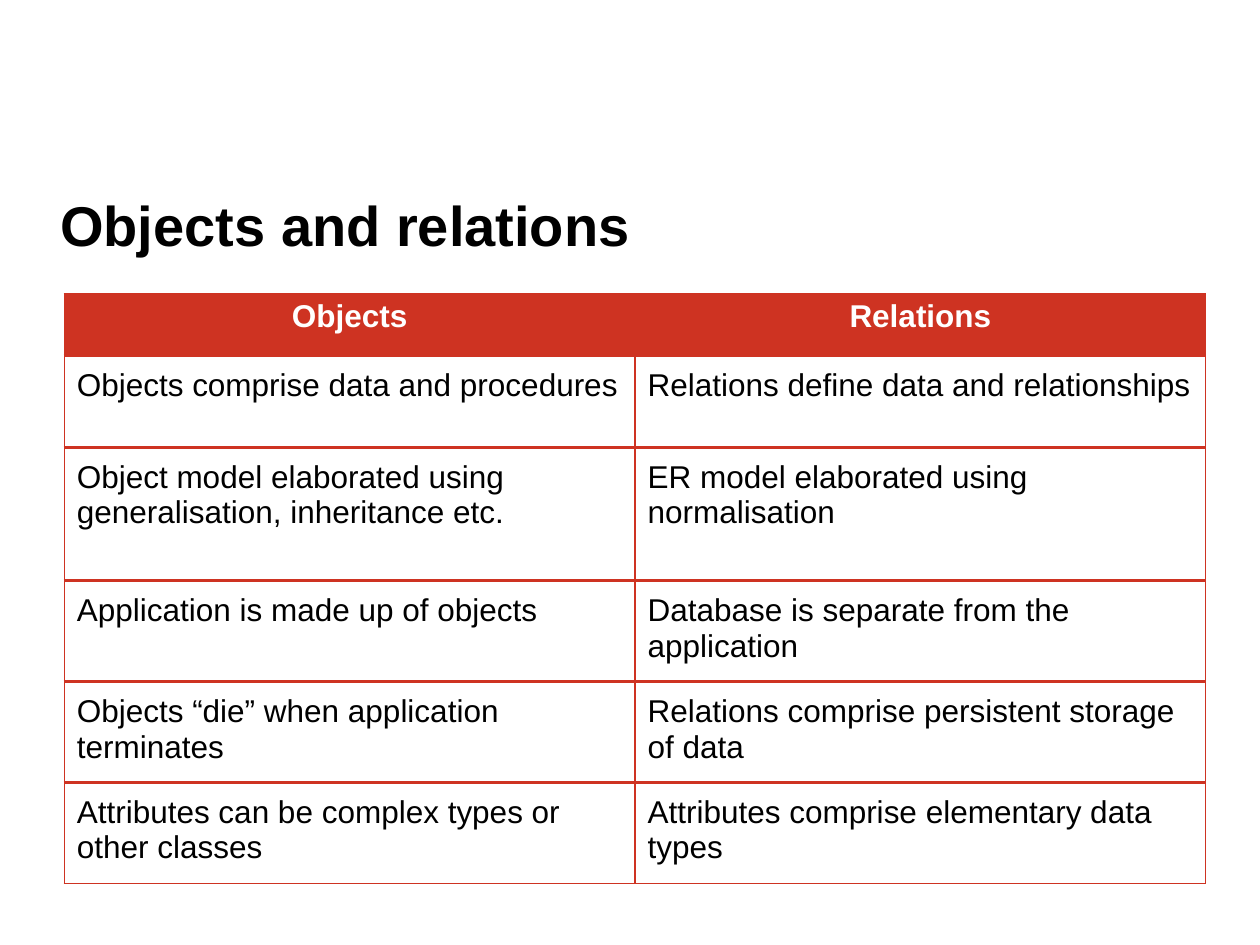
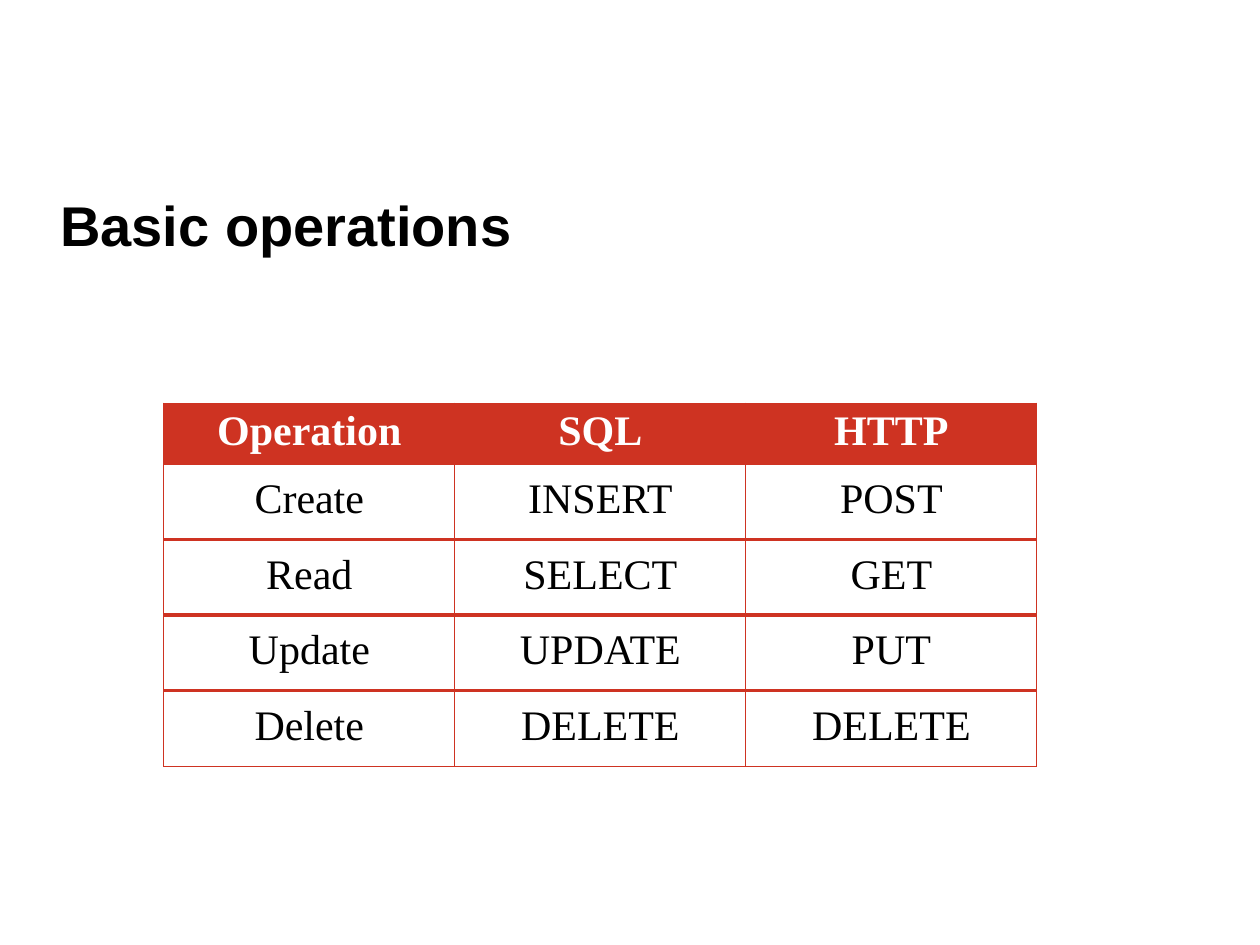
from dataclasses import dataclass
from lxml import etree
from pptx import Presentation
from pptx.dml.color import RGBColor
from pptx.enum.text import MSO_ANCHOR, PP_ALIGN
from pptx.oxml.ns import qn
from pptx.util import Inches, Pt

MIDDLE = MSO_ANCHOR.MIDDLE
LEFT, CENTER = PP_ALIGN.LEFT, PP_ALIGN.CENTER


@dataclass(frozen=True)
class Theme:
    red: str = "CE3322"
    black: str = "000000"
    white: str = "FFFFFF"
    sans: str = "Arial"
    serif: str = "Times New Roman"
    title: int = 32
    thin: float = 0.75
    thick: float = 2.25
    head_pad: float = 0.04
    body_pad: float = 0.1


THEME = Theme()
TITLE_BOX = (0.38, 1.4, 9.24, 0.76)

# Content: the first row of each table is its header
SLIDES = [
    {
        "title": "Objects and relations",
        "at": (0.51, 2.33), "width": 9.06,
        "heights": [0.49, 0.73, 1.06, 0.77, 0.77, 0.77],
        "font": THEME.sans, "size": 18, "align": LEFT,
        "rows": [
            ("Objects", "Relations"),
            ("Objects comprise data and procedures",
             "Relations define data and relationships"),
            ("Object model elaborated using generalisation, inheritance etc.",
             "ER model elaborated using normalisation"),
            ("Application is made up of objects",
             "Database is separate from the application"),
            ("Objects “die” when application terminates",
             "Relations comprise persistent storage of data"),
            ("Attributes can be complex types or other classes",
             "Attributes comprise elementary data types"),
        ],
    },
    {
        "title": "Basic operations",
        "at": (1.3, 3.2), "width": 6.93,
        "heights": [0.46] + [0.57] * 4,
        "font": THEME.serif, "size": 24, "align": CENTER,
        "rows": [
            ("Operation", "SQL", "HTTP"),
            ("Create", "INSERT", "POST"),
            ("Read", "SELECT", "GET"),
            ("Update", "UPDATE", "PUT"),
            ("Delete", "DELETE", "DELETE"),
        ],
    },
]


def style(para, face, size, color, bold, align):
    para.alignment = align
    font = para.font
    font.name, font.size, font.bold = face, Pt(size), bold
    font.color.rgb = RGBColor.from_string(color)


def add_title(slide, text):
    box = slide.shapes.add_textbox(*map(Inches, TITLE_BOX))
    frame = box.text_frame
    frame.word_wrap = True
    frame.vertical_anchor = MIDDLE
    frame.text = text
    style(frame.paragraphs[0], THEME.sans, THEME.title, THEME.black, True, LEFT)


def set_edges(cell, top, bottom):
    """Red borders: thin at the sides, given widths above and below."""
    props = cell._tc.get_or_add_tcPr()
    widths = {"lnL": THEME.thin, "lnR": THEME.thin, "lnT": top, "lnB": bottom}
    for tag, width in widths.items():
        line = etree.SubElement(props, qn("a:" + tag), w=str(int(Pt(width))))
        fill = etree.SubElement(line, qn("a:solidFill"))
        etree.SubElement(fill, qn("a:srgbClr"), val=THEME.red)


def fill_cell(cell, text, data, head, last):
    pad = Inches(THEME.head_pad if head else THEME.body_pad)
    cell.margin_left = cell.margin_right = pad
    cell.margin_top = cell.margin_bottom = pad
    set_edges(cell, THEME.thin if head else THEME.thick,
              THEME.thin if last else THEME.thick)
    if head:
        cell.fill.solid()
        cell.fill.fore_color.rgb = RGBColor.from_string(THEME.red)
    else:
        cell.fill.background()
    cell.text = text
    style(cell.text_frame.paragraphs[0], data["font"], data["size"],
          THEME.white if head else THEME.black, head,
          CENTER if head else data["align"])


def add_grid(slide, data):
    rows, heights = data["rows"], data["heights"]
    count = len(rows[0])
    size = (data["width"], sum(heights))
    table = slide.shapes.add_table(
        len(rows), count, *map(Inches, data["at"] + size)).table
    table.horz_banding = False
    for col in table.columns:
        col.width = Inches(data["width"] / count)
    for r, (row, height) in enumerate(zip(rows, heights)):
        table.rows[r].height = Inches(height)
        for c, text in enumerate(row):
            fill_cell(table.cell(r, c), text, data, r == 0, r == len(rows) - 1)


# Build the deck
deck = Presentation()
deck.slide_width, deck.slide_height = Inches(10), Inches(7.5)
blank = deck.slide_layouts[6]
for data in SLIDES:
    slide = deck.slides.add_slide(blank)
    add_title(slide, data["title"])
    add_grid(slide, data)
deck.save("out.pptx")
